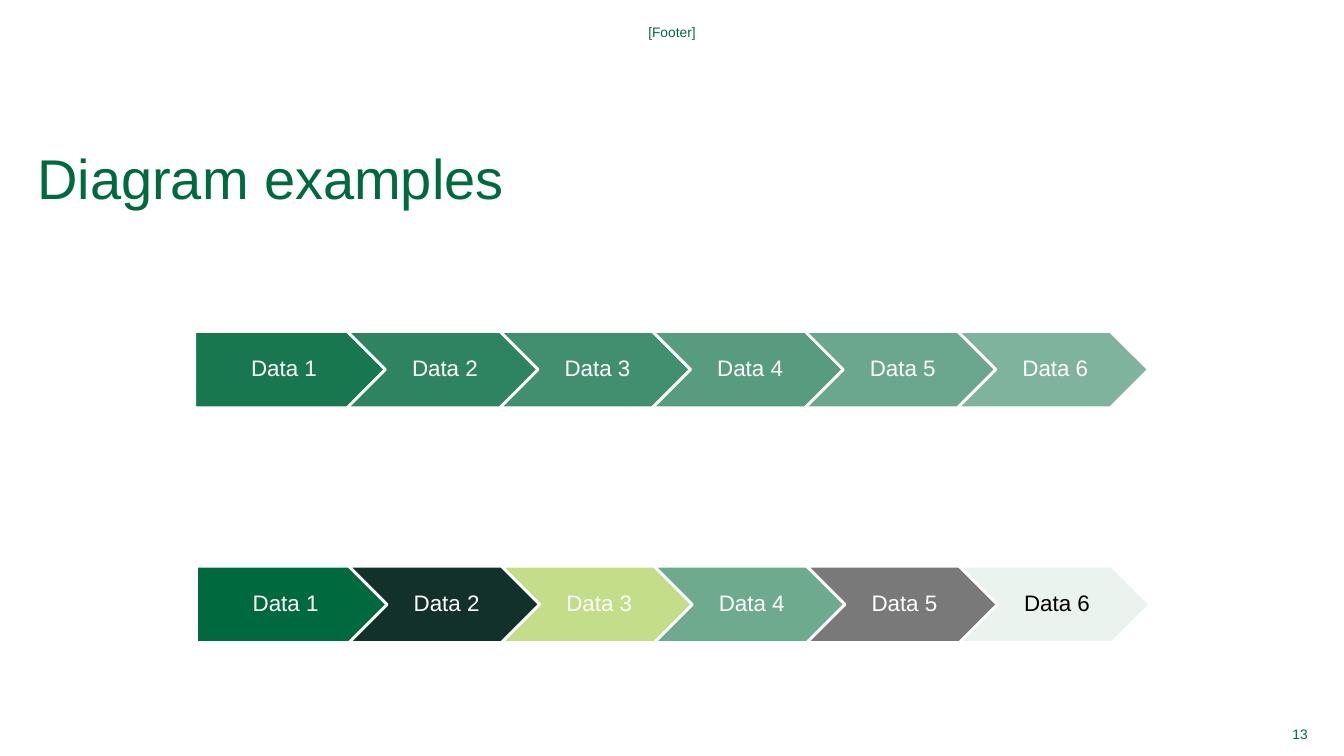
from dataclasses import dataclass

from lxml import etree
from pptx import Presentation
from pptx.dml.color import RGBColor
from pptx.enum.shapes import MSO_SHAPE
from pptx.enum.text import MSO_ANCHOR, MSO_AUTO_SIZE, PP_ALIGN
from pptx.oxml.ns import qn
from pptx.slide import Slide
from pptx.text.text import TextFrame
from pptx.util import Pt

PENTAGON, CHEVRON = MSO_SHAPE.PENTAGON, MSO_SHAPE.CHEVRON
TOP, MIDDLE = MSO_ANCHOR.TOP, MSO_ANCHOR.MIDDLE
LEFT, CENTER, RIGHT = PP_ALIGN.LEFT, PP_ALIGN.CENTER, PP_ALIGN.RIGHT
NO_AUTOFIT = MSO_AUTO_SIZE.NONE

FONT = "Arial"
GREEN, WHITE, BLACK = "00693E", "FFFFFF", "000000"
TITLE_ONLY = 5

STEP_WIDTH, STEP_HEIGHT = 136.25, 54.5
STEP_PITCH = 0.8 * STEP_WIDTH


@dataclass
class Step:
    fill: str
    opacity: int = 100
    text_color: str = WHITE


@dataclass
class Process:
    left: float
    top: float
    steps: list[Step]


@dataclass
class Label:
    text: str
    left: float
    top: float
    width: float
    height: float
    align: PP_ALIGN


PROCESSES = [
    Process(139.1, 236.7, [Step(GREEN, opacity) for opacity in range(90, 49, -8)]),
    Process(140.3, 404.5, [
        Step(GREEN), Step("12312B"), Step("C3DD88"),
        Step("6EAA8D"), Step("797979"), Step("EBF3EF", text_color=BLACK),
    ]),
]

LABELS = [
    Label("[Footer]", 187.7, 14.4, 584.6, 17.3, CENTER),
    Label("13", 893.2, 515.5, 41, 17.3, RIGHT),
]


def rgb(color: str) -> RGBColor:
    return RGBColor.from_string(color)


def write(frame: TextFrame, text: str, size: float, color: str, align: PP_ALIGN,
          anchor: MSO_ANCHOR = MIDDLE, spacing: float = 1.0,
          margins: tuple[float, float, float, float] = (0, 0, 0, 0)) -> None:
    """Fill a text frame; margins are left, top, right, bottom."""
    frame.text = text
    frame.word_wrap = True
    frame.auto_size = NO_AUTOFIT
    frame.vertical_anchor = anchor
    (frame.margin_left, frame.margin_top,
     frame.margin_right, frame.margin_bottom) = map(Pt, margins)
    paragraph = frame.paragraphs[0]
    paragraph.alignment = align
    paragraph.line_spacing = spacing
    font = paragraph.runs[0].font
    font.name = FONT
    font.size = Pt(size)
    font.color.rgb = rgb(color)


def add_title(slide: Slide, text: str) -> None:
    title = slide.shapes.title
    title.left, title.top = Pt(26.6), Pt(109.8)
    title.width, title.height = Pt(909.4), Pt(72.7)
    write(title.text_frame, text, 40, GREEN, LEFT, TOP, 0.85)


def add_process(slide: Slide, process: Process) -> None:
    group = slide.shapes.add_group_shape()
    for index, step in enumerate(process.steps):
        first = index == 0
        shape = group.shapes.add_shape(
            PENTAGON if first else CHEVRON,
            Pt(process.left + index * STEP_PITCH), Pt(process.top),
            Pt(STEP_WIDTH), Pt(STEP_HEIGHT))
        shape.shadow.inherit = False
        shape.fill.solid()
        shape.fill.fore_color.rgb = rgb(step.fill)
        if step.opacity < 100:
            fill_color = shape.fill._xPr.find(f"{qn('a:solidFill')}/{qn('a:srgbClr')}")
            etree.SubElement(fill_color, qn("a:alpha"), val=str(step.opacity * 1000))
        shape.line.color.rgb = rgb(WHITE)
        shape.line.width = Pt(2)
        write(shape.text_frame, f"Data {index + 1}", 16, step.text_color, CENTER,
              spacing=0.9, margins=(6.4 if first else 4.8, 3.2, 1.6, 3.2))


def add_label(slide: Slide, label: Label) -> None:
    box = slide.shapes.add_textbox(
        Pt(label.left), Pt(label.top), Pt(label.width), Pt(label.height))
    write(box.text_frame, label.text, 9.8, GREEN, label.align)


def main() -> None:
    presentation = Presentation()
    presentation.slide_width, presentation.slide_height = Pt(960), Pt(540)
    slide = presentation.slides.add_slide(presentation.slide_layouts[TITLE_ONLY])

    # Title
    add_title(slide, "Diagram examples")

    # Arrow processes
    for process in PROCESSES:
        add_process(slide, process)

    # Footer and page number
    for label in LABELS:
        add_label(slide, label)

    presentation.save("out.pptx")


if __name__ == "__main__":
    main()
